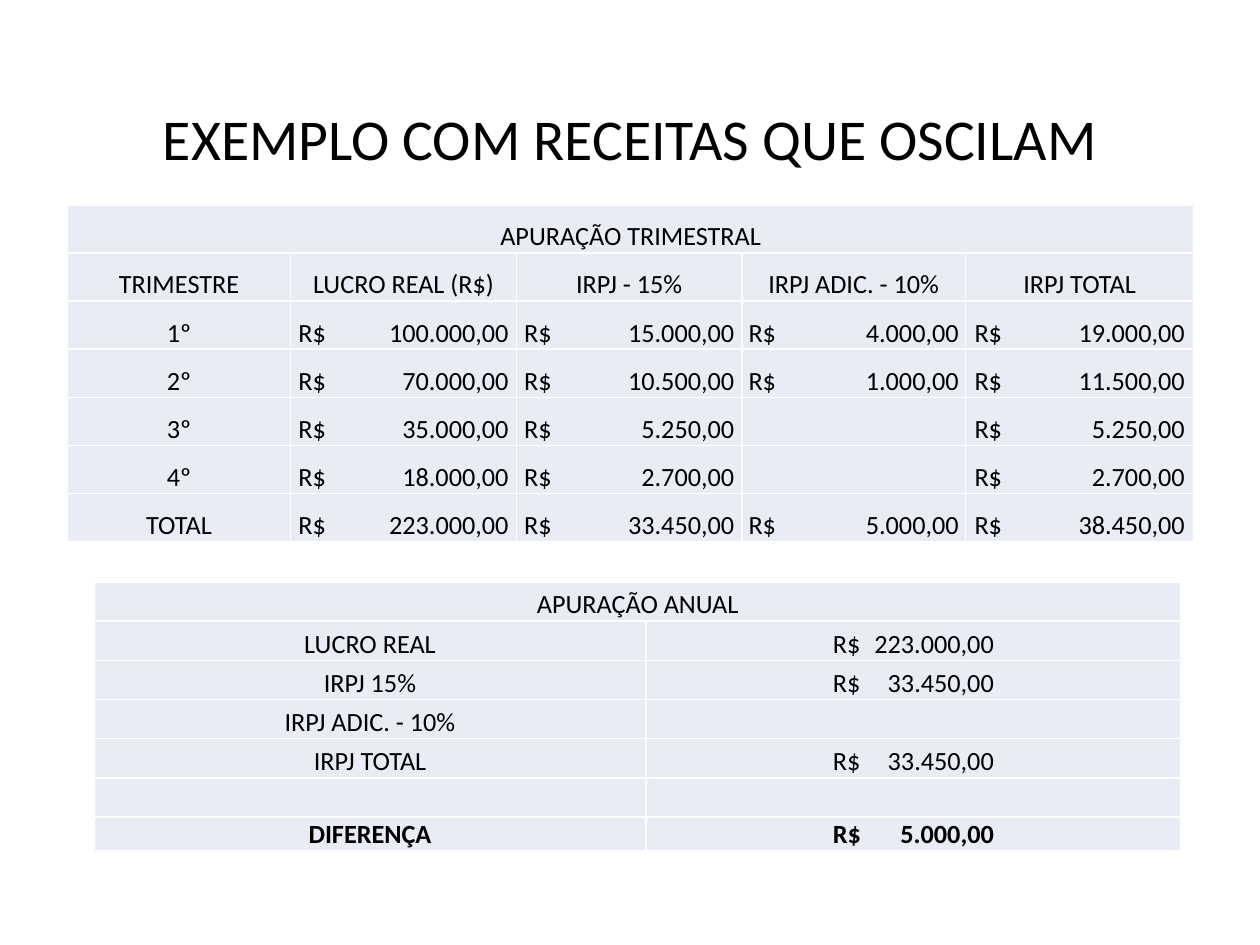
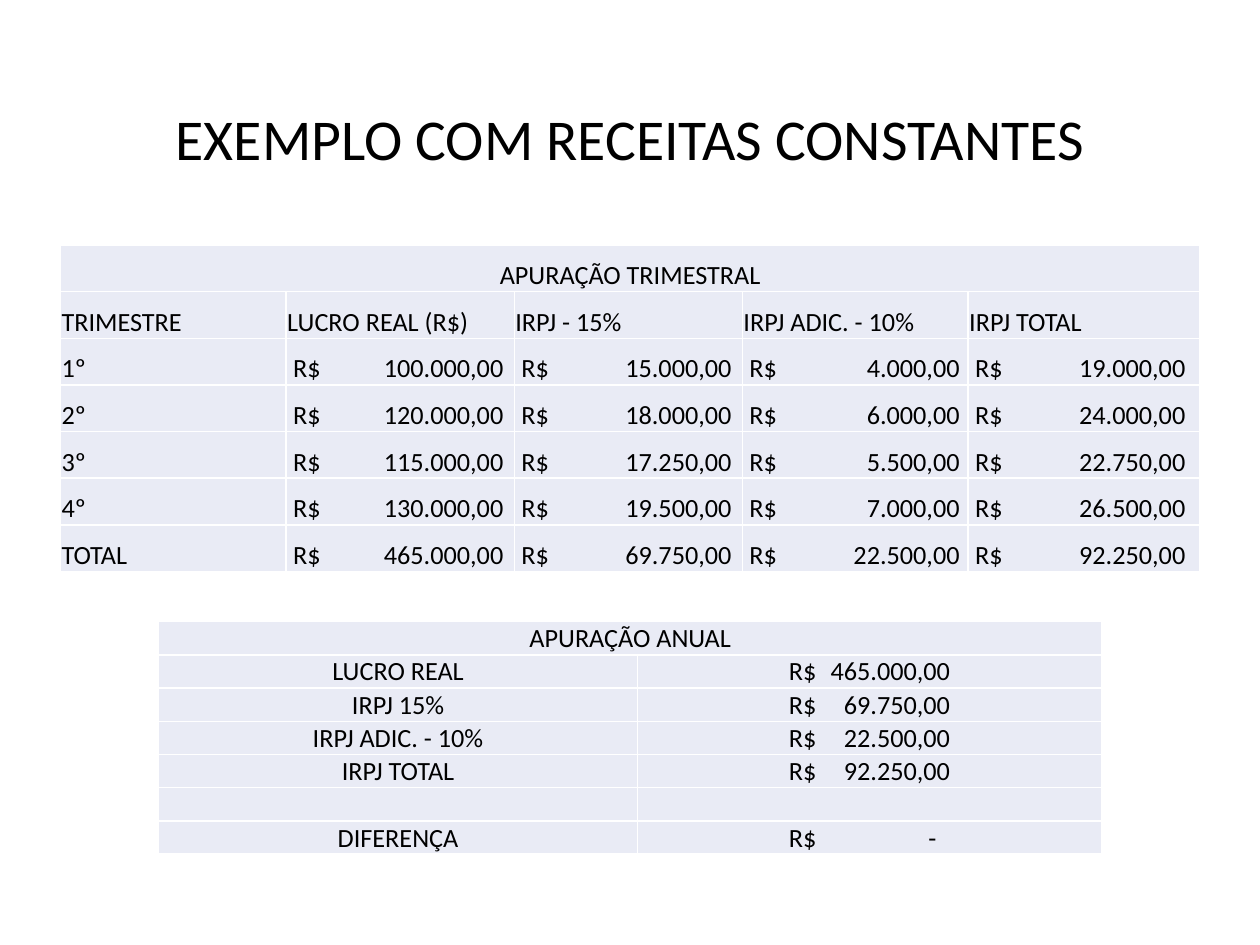
"""Builds two slides that compare quarterly and annual income tax assessment."""
from dataclasses import dataclass

from lxml import etree
from pptx import Presentation
from pptx.dml.color import RGBColor
from pptx.enum.text import MSO_ANCHOR, PP_ALIGN
from pptx.oxml.ns import qn
from pptx.util import Cm, Pt

LEFT, CENTER = PP_ALIGN.LEFT, PP_ALIGN.CENTER
MIDDLE, BOTTOM = MSO_ANCHOR.MIDDLE, MSO_ANCHOR.BOTTOM


@dataclass(frozen=True)
class Theme:
    font: str = "Calibri"
    ink: str = "000000"
    cell: str = "E9EBF5"
    border: str = "FFFFFF"
    title_size: int = 33
    table_size: int = 15


theme = Theme()


def write_text(para, text, size=theme.table_size, align=CENTER, bold=False, spacing=None, tab=None):
    para.alignment = align
    if spacing:
        para.line_spacing = spacing
    if tab:
        stops = etree.SubElement(para._p.get_or_add_pPr(), qn("a:tabLst"))
        etree.SubElement(stops, qn("a:tab"), pos=str(Cm(tab)), algn="r")
    if not text:
        etree.SubElement(para._p, qn("a:endParaRPr"), sz=str(size * 100))
        return
    span = para.add_run()
    span.text = text
    span.font.name = theme.font
    span.font.size = Pt(size)
    span.font.bold = bold
    span.font.color.rgb = RGBColor.from_string(theme.ink)


def add_grid(page, rows, left, top, widths, heights, header_rows, money_width,
             align=CENTER, money_left=None, bold_last=False):
    frame = page.shapes.add_table(len(rows), len(widths), Cm(left), Cm(top),
                                  Cm(sum(widths)), Cm(sum(heights)))
    table = frame.table
    table.first_row = table.horz_banding = False
    for column, width in zip(table.columns, widths):
        column.width = Cm(width)
    for row, height in zip(table.rows, heights):
        row.height = Cm(height)
    table.cell(0, 0).merge(table.cell(0, len(widths) - 1))

    for r, values in enumerate(rows):
        for c, value in enumerate(values):
            cell = table.cell(r, c)
            cell.vertical_anchor = BOTTOM
            cell.margin_left = cell.margin_right = cell.margin_top = Cm(0.02)
            cell.margin_bottom = 0
            for side in ("lnL", "lnR", "lnT", "lnB"):
                line = etree.SubElement(cell._tc.get_or_add_tcPr(), qn(f"a:{side}"), w=str(Pt(1)))
                fill = etree.SubElement(line, qn("a:solidFill"))
                etree.SubElement(fill, qn("a:srgbClr"), val=theme.border)
            cell.fill.solid()
            cell.fill.fore_color.rgb = RGBColor.from_string(theme.cell)

            para = cell.text_frame.paragraphs[0]
            bold = bold_last and r == len(rows) - 1
            if value and c > 0 and r >= header_rows:
                cell.margin_left = Cm(money_left or (widths[c] - money_width) / 2)
                tab = money_width - 0.28 if value == "-" else money_width
                write_text(para, f"R$\t{value}", align=LEFT, bold=bold, tab=tab)
            else:
                write_text(para, value, align=CENTER if r == 0 else align, bold=bold)


quarter_head = [
    ["APURAÇÃO TRIMESTRAL", "", "", "", ""],
    ["TRIMESTRE", "LUCRO REAL (R$)", "IRPJ - 15%", "IRPJ ADIC. - 10%", "IRPJ TOTAL"],
]
annual_labels = ["LUCRO REAL", "IRPJ 15%", "IRPJ ADIC. - 10%", "IRPJ TOTAL", "", "DIFERENÇA"]

examples = [
    dict(
        title="EXEMPLO COM RECEITAS QUE OSCILAM",
        quarters=[
            ["1º", "100.000,00", "15.000,00", "4.000,00", "19.000,00"],
            ["2º", "70.000,00", "10.500,00", "1.000,00", "11.500,00"],
            ["3º", "35.000,00", "5.250,00", "", "5.250,00"],
            ["4º", "18.000,00", "2.700,00", "", "2.700,00"],
            ["TOTAL", "223.000,00", "33.450,00", "5.000,00", "38.450,00"],
        ],
        quarter_format=dict(left=1.36, top=4.13, widths=[4.5, 4.55, 4.55, 4.5, 4.61],
                            heights=[0.97] * 7),
        annual=["223.000,00", "33.450,00", "", "33.450,00", "", "5.000,00"],
        annual_format=dict(left=1.9, top=11.73, widths=[11.12, 10.79],
                           heights=[0.79] * 6 + [0.67], bold_last=True),
    ),
    dict(
        title="EXEMPLO COM RECEITAS CONSTANTES",
        quarters=[
            ["1º", "100.000,00", "15.000,00", "4.000,00", "19.000,00"],
            ["2º", "120.000,00", "18.000,00", "6.000,00", "24.000,00"],
            ["3º", "115.000,00", "17.250,00", "5.500,00", "22.750,00"],
            ["4º", "130.000,00", "19.500,00", "7.000,00", "26.500,00"],
            ["TOTAL", "465.000,00", "69.750,00", "22.500,00", "92.250,00"],
        ],
        quarter_format=dict(left=1.22, top=4.94, widths=[4.55, 4.6, 4.6, 4.55, 4.67],
                            heights=[0.94] * 7, align=LEFT, money_left=0.14),
        annual=["465.000,00", "69.750,00", "22.500,00", "92.250,00", "", "-"],
        annual_format=dict(left=3.2, top=12.53, widths=[9.65, 9.36], heights=[0.67] * 7),
    ),
]

deck = Presentation()
deck.slide_width, deck.slide_height = Cm(25.4), Cm(19.05)

for example in examples:
    page = deck.slides.add_slide(deck.slide_layouts[6])
    box = page.shapes.add_textbox(Cm(1.75), Cm(1.02), Cm(21.9), Cm(3.68))
    box.text_frame.word_wrap = True
    box.text_frame.vertical_anchor = MIDDLE
    write_text(box.text_frame.paragraphs[0], example["title"], size=theme.title_size, spacing=0.9)

    add_grid(page, quarter_head + example["quarters"], header_rows=2, money_width=4.24,
             **example["quarter_format"])
    annual_rows = [["APURAÇÃO ANUAL", ""]] + list(zip(annual_labels, example["annual"]))
    add_grid(page, annual_rows, header_rows=1, money_width=3.25, **example["annual_format"])

deck.save("out.pptx")
